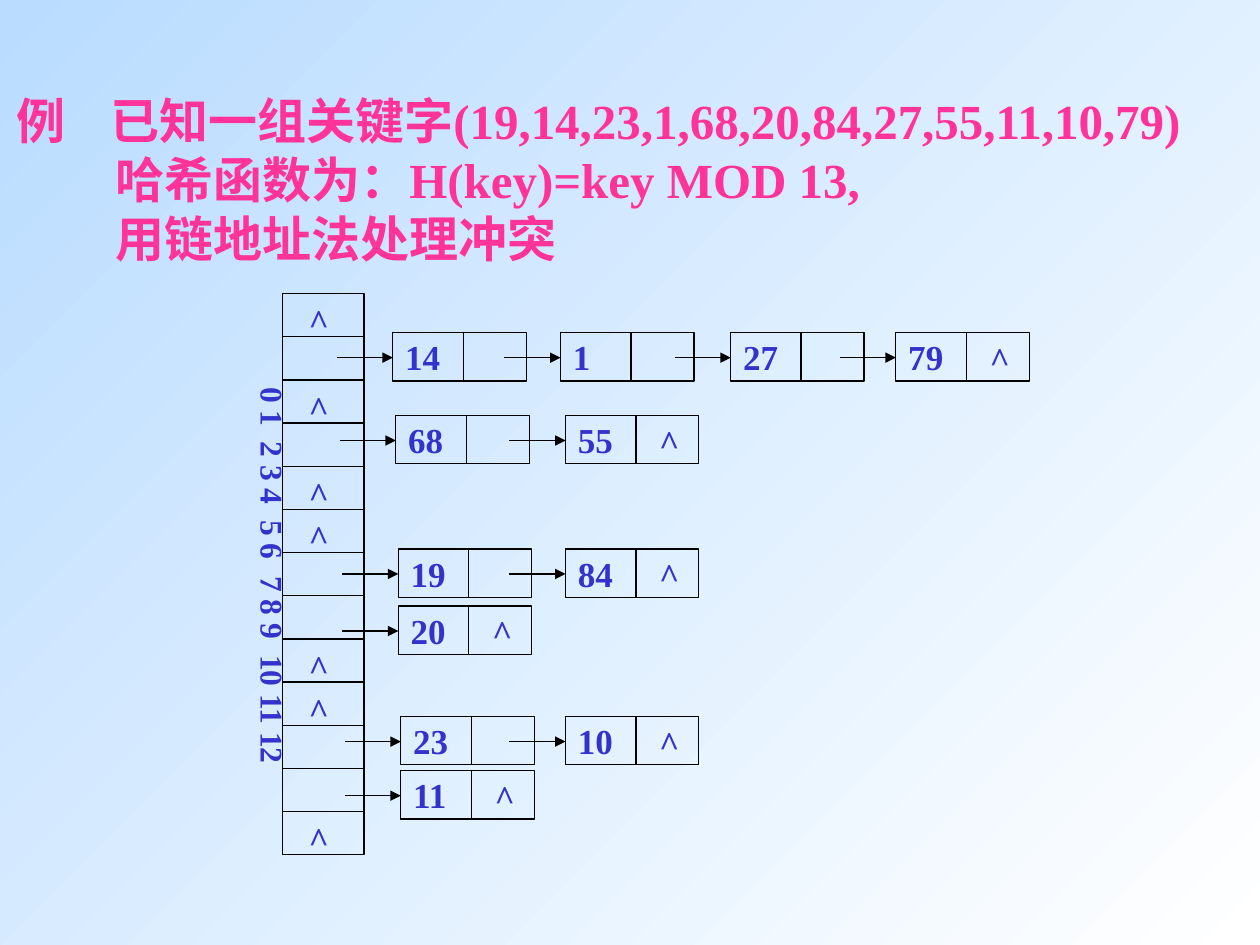
"""Build a slide showing a hash table whose collisions are resolved by chaining."""
from lxml.etree import SubElement
from pptx import Presentation
from pptx.dml.color import RGBColor
from pptx.enum.shapes import MSO_CONNECTOR as CONN, MSO_SHAPE as SHAPE
from pptx.enum.text import MSO_ANCHOR as ANCHOR, MSO_AUTO_SIZE as AUTO, PP_ALIGN as ALIGN
from pptx.oxml.ns import qn
from pptx.util import Cm, Pt

COLORS = {"title": "FF3399", "text": "3333CC", "line": "000000",
          "light": "FFFFFF", "sky": "B9DCFF"}


def add_line(shapes, x1, y1, x2, y2, arrow=False):
    cn = shapes.add_connector(CONN.STRAIGHT, Cm(x1), Cm(y1), Cm(x2), Cm(y2))
    cn.line.color.rgb = RGBColor.from_string(COLORS["line"])
    cn.line.width = Pt(0.75)
    if arrow:
        SubElement(cn.line._get_or_add_ln(), qn("a:tailEnd"), type="triangle")
    SubElement(cn._element.spPr, qn("a:effectLst"))


def add_run(p, text, size, color="text"):
    p.alignment = ALIGN.LEFT
    r = p.add_run()
    r.text = text
    r.font.name = "Times New Roman"
    r.font.size = Pt(size)
    r.font.bold = True
    r.font.color.rgb = RGBColor.from_string(COLORS[color])


prs = Presentation()
prs.slide_width, prs.slide_height = Cm(25.4), Cm(19.05)
slide = prs.slides.add_slide(prs.slide_layouts[5])

fill = slide.background.fill
fill.gradient()
fill.gradient_angle = 135
for stop, name in zip(fill.gradient_stops, ("light", "sky")):
    stop.color.rgb = RGBColor.from_string(COLORS[name])

title = slide.shapes.title
title.left, title.top, title.width, title.height = Cm(0.08), Cm(1.7), Cm(25.32), Cm(3.81)
tf = title.text_frame
tf.auto_size, tf.word_wrap, tf.vertical_anchor = AUTO.NONE, True, ANCHOR.TOP
title_lines = [
    ("例\t已知一组关键字(19,14,23,1,68,20,84,27,55,11,10,79)", 1.9, -1.9),
    ("哈希函数为：H(key)=key MOD 13,", 2, 0),
    ("用链地址法处理冲突", 2, 0),
]
for i, (text, margin, indent) in enumerate(title_lines):
    p = tf.add_paragraph() if i else tf.paragraphs[0]
    pPr = p._p.get_or_add_pPr()
    pPr.set("marL", str(Cm(margin)))
    pPr.set("indent", str(Cm(indent)))
    p.space_before = Pt(0)
    add_run(p, text, 28, "title")

table_left, table_top, table_width, row_height, rows = 5.69, 5.92, 1.65, 0.87, 13
table = slide.shapes.add_group_shape().shapes
frame = table.add_shape(SHAPE.RECTANGLE, Cm(table_left), Cm(table_top),
                        Cm(table_width), Cm(rows * row_height))
frame.shadow.inherit = False
frame.fill.background()
frame.line.color.rgb = RGBColor.from_string(COLORS["line"])
frame.line.width = Pt(0.75)
for row in range(1, rows):
    y = table_top + row * row_height
    add_line(table, table_left, y, table_left + table_width, y)

sp = slide.shapes.add_textbox(Cm(4.67), Cm(7.56), Cm(1.35), Cm(8.3))
tf = sp.text_frame
tf.word_wrap = True
tf.margin_left = tf.margin_right = Cm(0.13)
tf.margin_top = tf.margin_bottom = Cm(0.25)
tf._txBody.bodyPr.set("vert", "eaVert")
p = tf.paragraphs[0]
add_run(p, "0 1\t2 3 4\t5 6\t7 8 9\t10 11 12", 18)
tabs = SubElement(p._p.get_or_add_pPr(), qn("a:tabLst"))
for pos in (1.09, 2.68, 3.81, 5.4):
    SubElement(tabs, qn("a:tab"), pos=str(Cm(pos)), algn="l")

chains = [
    (6.71, [(7.92, "14"), (11.3, "1"), (14.73, "27"), (18.06, "79")]),
    (8.38, [(7.98, "68"), (11.4, "55")]),
    (11.07, [(8.03, "19"), (11.4, "84")]),
    (12.22, [(8.03, "20")]),
    (14.45, [(8.08, "23"), (11.4, "10")]),
    (15.54, [(8.08, "11")]),
]
node_width, node_height, key_width, arrow_length = 2.69, 0.97, 1.42, 1.13
for top, nodes in chains:
    for left, key in nodes:
        node = slide.shapes.add_group_shape().shapes
        sp = node.add_shape(SHAPE.RECTANGLE, Cm(left), Cm(top), Cm(node_width), Cm(node_height))
        sp.shadow.inherit = False
        sp.fill.background()
        sp.line.color.rgb = RGBColor.from_string(COLORS["line"])
        sp.line.width = Pt(0.75)
        sp.text_frame.vertical_anchor = ANCHOR.MIDDLE
        add_run(sp.text_frame.paragraphs[0], key, 20)
        add_line(node, left + key_width, top, left + key_width, top + node_height)
        y = top + 0.5
        add_line(node, left - arrow_length, y, left, y, arrow=True)

nulls = [(5.97, table_top + row * row_height) for row in (0, 2, 4, 5, 8, 9, 12)]
nulls += [(nodes[-1][0] + 1.64, top - 0.03) for top, nodes in chains]
for left, top in nulls:
    sp = slide.shapes.add_textbox(Cm(left), Cm(top), Cm(0.91), Cm(1.11))
    sp.text_frame.word_wrap = False
    add_run(sp.text_frame.paragraphs[0], "^", 20)

prs.save("out.pptx")
